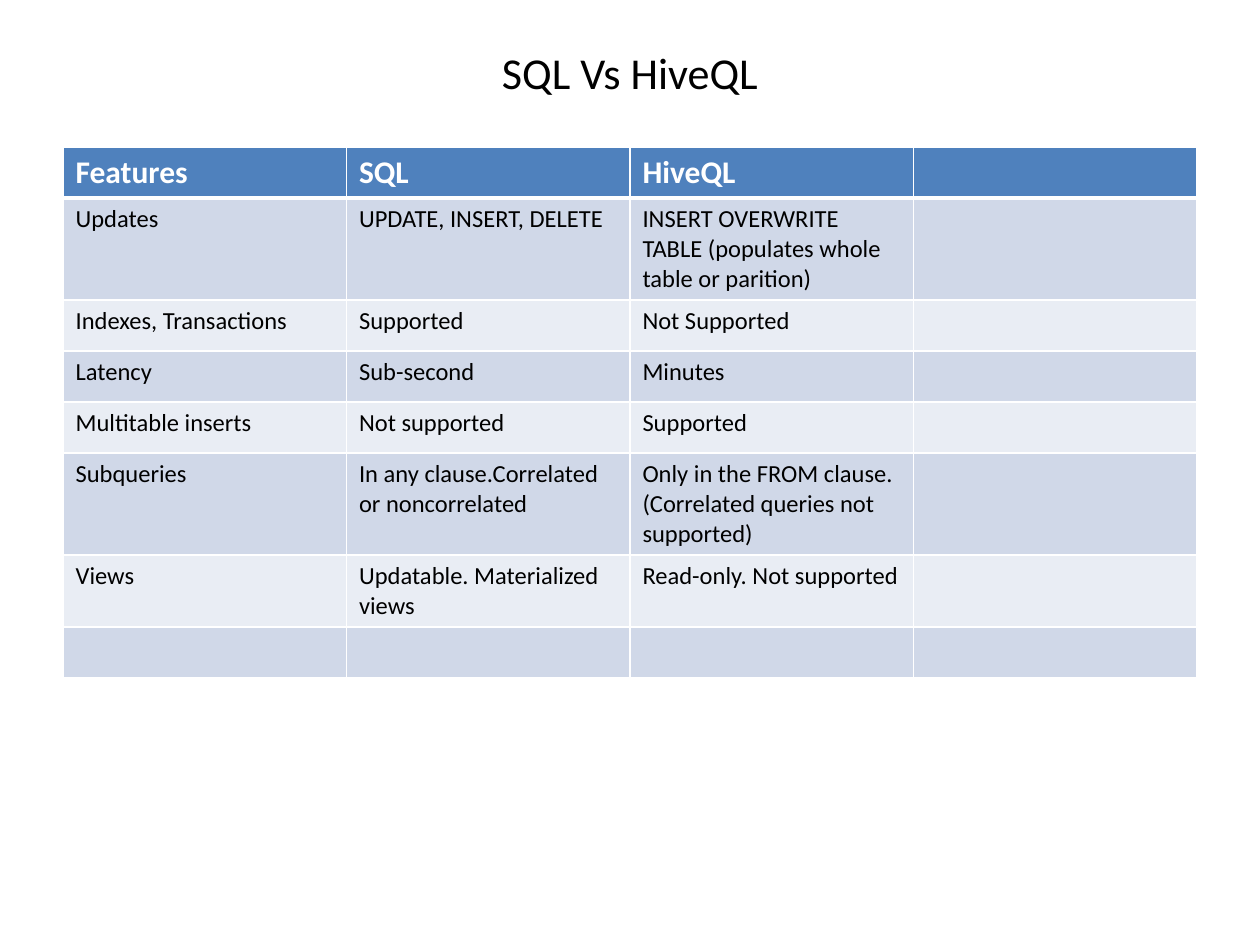
"""Build a slide with a table that compares SQL and HiveQL."""
from lxml import etree
from pptx import Presentation
from pptx.dml.color import RGBColor
from pptx.enum.text import MSO_ANCHOR, PP_ALIGN
from pptx.oxml.ns import qn
from pptx.util import Pt

PX = 914400 // 126
MIDDLE = MSO_ANCHOR.MIDDLE
LEFT, CENTER = PP_ALIGN.LEFT, PP_ALIGN.CENTER
WHITE, BLACK, BLUE = "FFFFFF", "000000", "4F81BD"
BANDS = ["E9EDF4", "D0D8E8"]
ROWS = [
    ("Features", "SQL", "HiveQL", ""),
    ("Updates", "UPDATE, INSERT, DELETE",
     "INSERT OVERWRITE TABLE (populates whole table or parition)", ""),
    ("Indexes, Transactions", "Supported", "Not Supported", ""),
    ("Latency", "Sub-second", "Minutes", ""),
    ("Multitable inserts", "Not supported", "Supported", ""),
    ("Subqueries", "In any clause.Correlated or noncorrelated",
     "Only in the FROM clause. (Correlated queries not supported)", ""),
    ("Views", "Updatable. Materialized views", "Read-only. Not supported", ""),
    ("", "", "", ""),
]
HEIGHTS = [51, 102, 51, 51, 51, 102, 72, 51]


def write(frame, text, size=14, color=BLACK, bold=False, align=LEFT):
    """Write one formatted paragraph into a text frame."""
    para = frame.paragraphs[0]
    para.alignment = align
    span = para.add_run()
    span.text = text
    span.font.name = "Calibri"
    span.font.size = Pt(size)
    span.font.bold = bold
    span.font.color.rgb = RGBColor.from_string(color)


def add_border(cell, side, width):
    """Draw a white line along one side of a cell."""
    properties = cell._tc.get_or_add_tcPr()
    line = etree.SubElement(properties, qn("a:" + side), w=str(Pt(width)))
    fill = etree.SubElement(line, qn("a:solidFill"))
    etree.SubElement(fill, qn("a:srgbClr"), val=WHITE)


deck = Presentation()
deck.slide_width, deck.slide_height = 1260 * PX, 945 * PX
page = deck.slides.add_slide(deck.slide_layouts[6])

title = page.shapes.add_textbox(63 * PX, 38 * PX, 1134 * PX, 67 * PX)
title.text_frame.word_wrap = True
title.text_frame.vertical_anchor = MIDDLE
write(title.text_frame, "SQL Vs HiveQL", size=25.2, align=CENTER)

table = page.shapes.add_table(
    len(ROWS), len(ROWS[0]), 63 * PX, 147 * PX, 1134 * PX, sum(HEIGHTS) * PX
).table
for row, (height, texts) in enumerate(zip(HEIGHTS, ROWS)):
    table.rows[row].height = height * PX
    header = row == 0
    for column, text in enumerate(texts):
        cell = table.cell(row, column)
        add_border(cell, "lnL", 1)
        add_border(cell, "lnR", 1)
        add_border(cell, "lnT", 3 if row == 1 else 1)
        add_border(cell, "lnB", 3 if header else 1)
        cell.fill.solid()
        cell.fill.fore_color.rgb = RGBColor.from_string(BLUE if header else BANDS[row % 2])
        if text:
            write(cell.text_frame, text, size=18 if header else 14,
                  color=WHITE if header else BLACK, bold=header)

deck.save("out.pptx")
